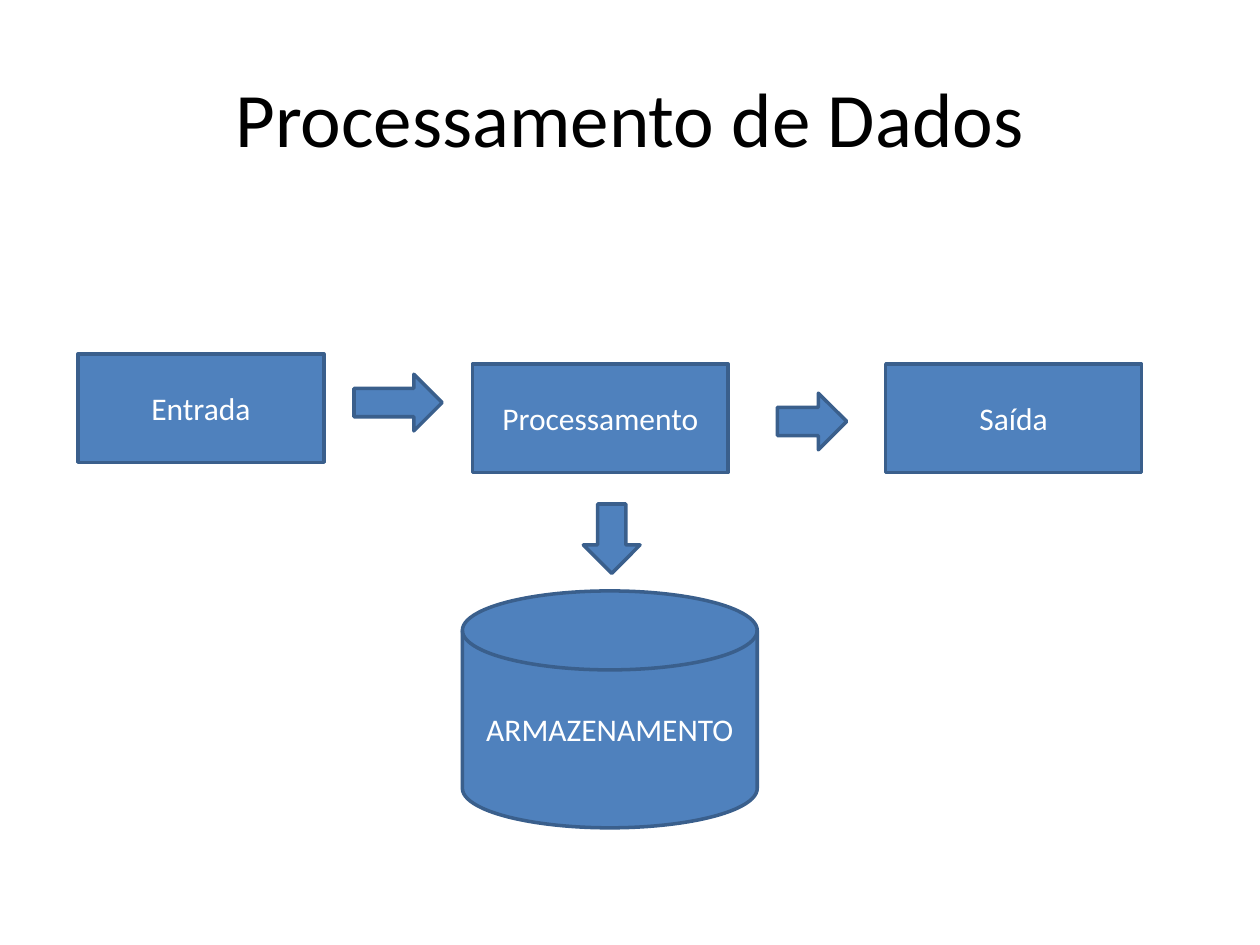
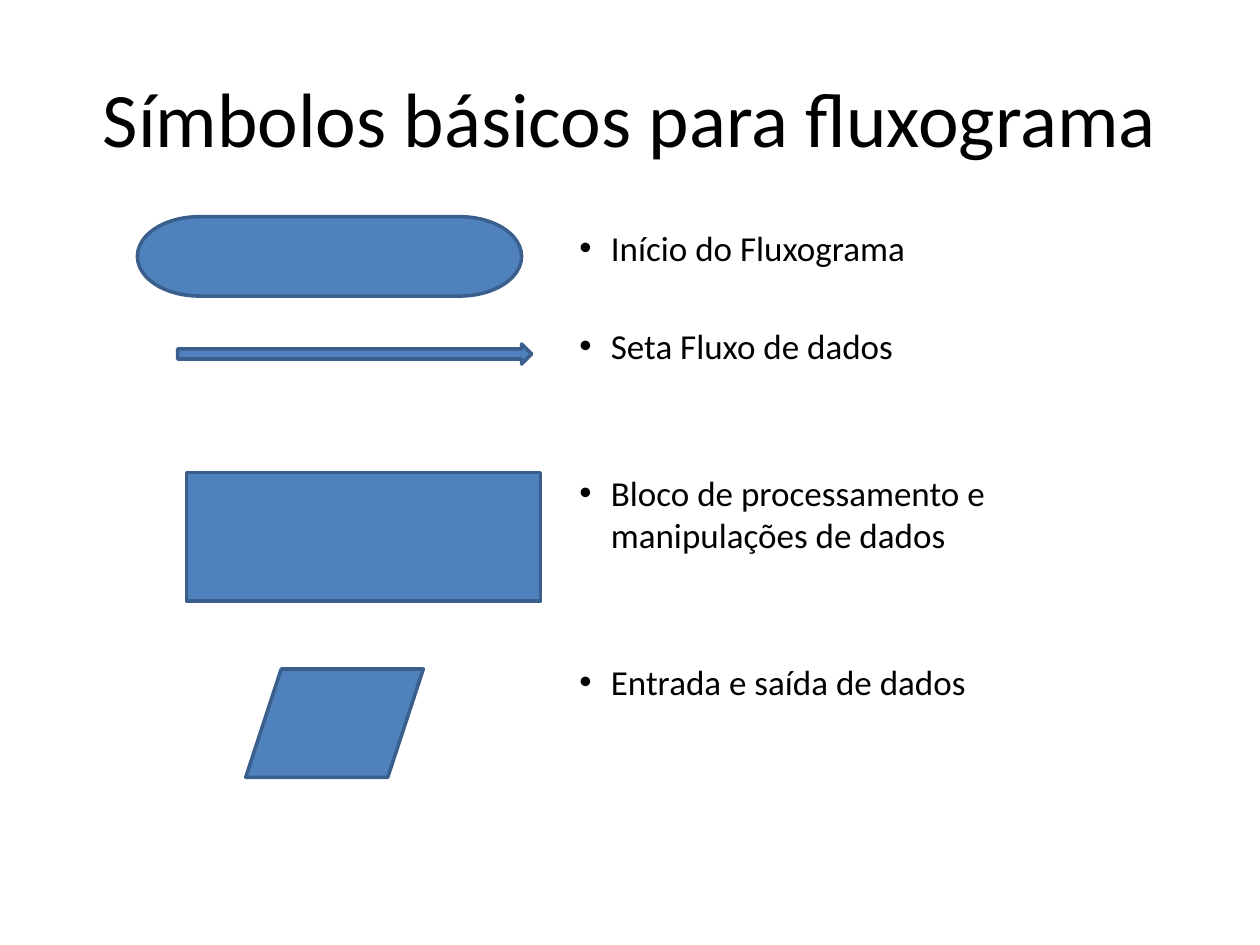
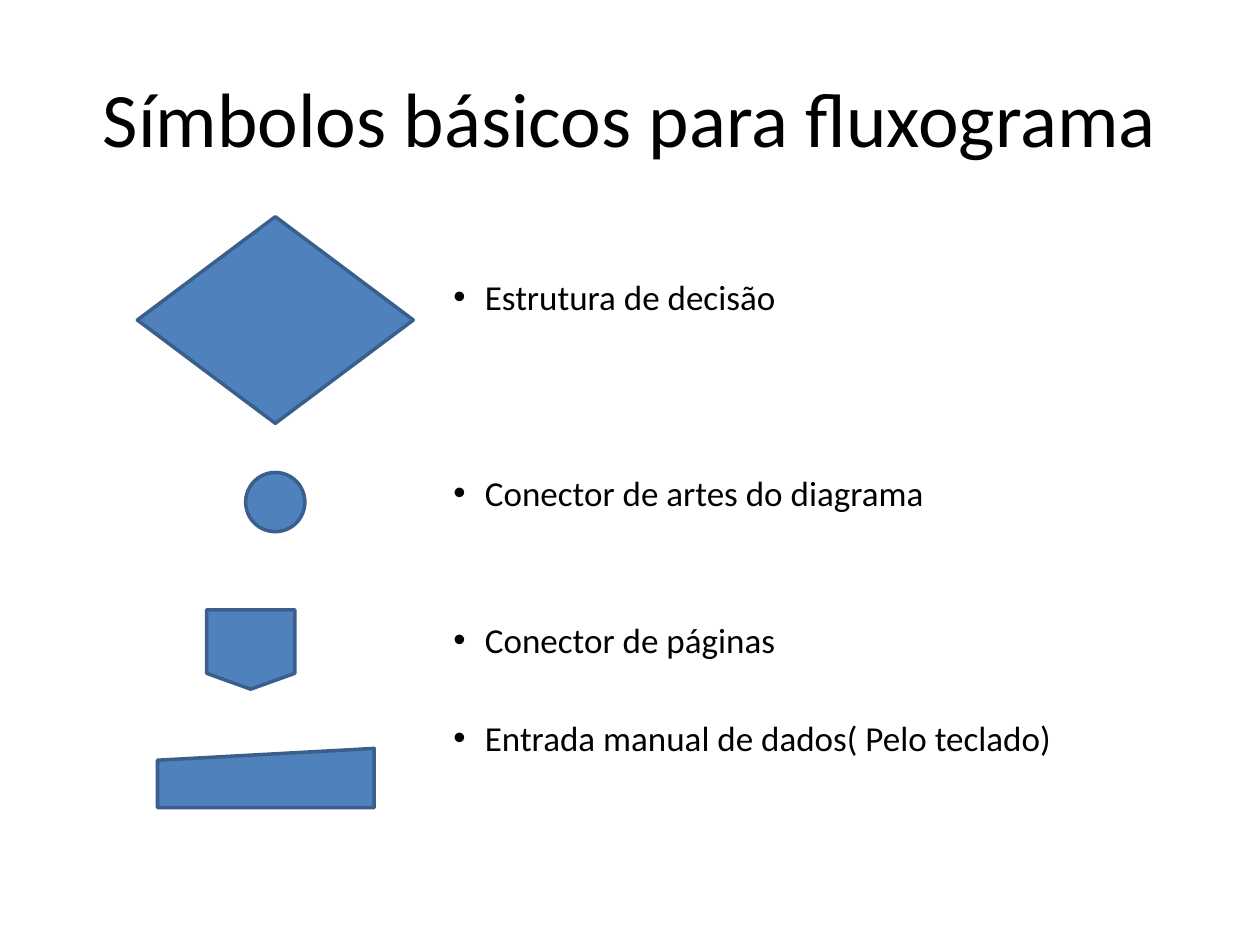
from pptx import Presentation
from pptx.dml.color import RGBColor
from pptx.enum.shapes import MSO_SHAPE as Preset
from pptx.enum.text import MSO_ANCHOR as Anchor, PP_ALIGN as Align
from pptx.oxml.ns import qn
from pptx.util import Inches, Pt
from lxml.etree import SubElement

BLACK = RGBColor(0x00, 0x00, 0x00)
WHITE = RGBColor(0xFF, 0xFF, 0xFF)
BLUE = RGBColor(0x4F, 0x81, 0xBD)
DARK_BLUE = RGBColor(0x3A, 0x5F, 0x8C)
FONT = "Calibri"
LIST_GAP = 4    # points above each list entry
LIST_STEP = 28  # points of one empty list row


def add_page(title):
    """Add a blank page with a centred title."""
    page = deck.slides.add_slide(deck.slide_layouts[6])
    box = page.shapes.add_textbox(Inches(0.5), Inches(0.3), Inches(9), Inches(1.25))
    box.text_frame.word_wrap = True
    box.text_frame.vertical_anchor = Anchor.MIDDLE
    para = box.text_frame.paragraphs[0]
    para.text = title
    para.alignment = Align.CENTER
    para.font.name, para.font.size, para.font.color.rgb = FONT, Pt(44), BLACK
    return page


def add_symbol(page, preset, left, top, width, height, label=""):
    """Add a blue outlined shape, with a white label if one is given."""
    shape = page.shapes.add_shape(
        preset, Inches(left), Inches(top), Inches(width), Inches(height))
    shape.shadow.inherit = False
    shape.fill.solid()
    shape.fill.fore_color.rgb = BLUE
    shape.line.color.rgb = DARK_BLUE
    shape.line.width = Pt(2)
    if label:
        shape.text_frame.vertical_anchor = Anchor.MIDDLE
        para = shape.text_frame.paragraphs[0]
        para.text = label
        para.alignment = Align.CENTER
        para.font.name, para.font.size, para.font.color.rgb = FONT, Pt(18), WHITE
    return shape


deck = Presentation()
deck.slide_width, deck.slide_height = Inches(10), Inches(7.5)

# Data processing diagram
page = add_page("Processamento de Dados")
add_symbol(page, Preset.RECTANGLE, 0.62, 2.81, 1.95, 0.86, "Entrada")
add_symbol(page, Preset.RIGHT_ARROW, 2.81, 2.97, 0.7, 0.45)
add_symbol(page, Preset.RECTANGLE, 3.75, 2.89, 2.03, 0.86, "Processamento")
add_symbol(page, Preset.RIGHT_ARROW, 6.17, 3.12, 0.55, 0.45)
add_symbol(page, Preset.RECTANGLE, 7.03, 2.89, 2.03, 0.86, "Saída")
storage_arrow = add_symbol(page, Preset.RIGHT_ARROW, 4.58, 4.05, 0.55, 0.45)
storage_arrow.rotation = 90
add_symbol(page, Preset.FLOWCHART_MAGNETIC_DISK, 3.67, 4.69, 2.34, 1.88,
           "ARMAZENAMENTO")

# Symbol pages: list indent, (empty rows above, meaning), symbols
symbol_pages = [
    (4.25,
     [(0, "Início do Fluxograma"),
      (1, "Seta Fluxo de dados"),
      (2, "Bloco de processamento e manipulações de dados"),
      (2, "Entrada e saída de dados")],
     [(Preset.FLOWCHART_TERMINATOR, 1.09, 1.72, 3.05, 0.63),
      (Preset.RIGHT_ARROW, 1.41, 2.73, 2.81, 0.16),
      (Preset.RECTANGLE, 1.48, 3.75, 2.81, 1.02),
      (Preset.FLOWCHART_DATA, 1.95, 5.31, 1.41, 0.86)]),
    (3.25,
     [(1, "Estrutura de decisão"),
      (3, "Conector de artes do diagrama"),
      (2, "Conector de páginas"),
      (1, "Entrada manual de dados( Pelo teclado)")],
     [(Preset.FLOWCHART_DECISION, 1.09, 1.72, 2.19, 1.64),
      (Preset.FLOWCHART_CONNECTOR, 1.95, 3.75, 0.47, 0.47),
      (Preset.FLOWCHART_OFFPAGE_CONNECTOR, 1.64, 4.84, 0.7, 0.63),
      (Preset.FLOWCHART_MANUAL_INPUT, 1.25, 5.94, 1.72, 0.47)]),
]

for indent, meanings, symbols in symbol_pages:
    page = add_page("Símbolos básicos para fluxograma")
    box = page.shapes.add_textbox(Inches(0.5), Inches(1.75), Inches(9), Inches(4.95))
    frame = box.text_frame
    frame.word_wrap = True
    for index, (empty_rows, meaning) in enumerate(meanings):
        space = Pt(LIST_STEP * empty_rows)
        if index == 0:
            para = frame.paragraphs[0]
            frame.margin_top = Inches(0.05) + space
            para.space_before = Pt(LIST_GAP)
        else:
            para = frame.add_paragraph()
            para.space_before = Pt(LIST_GAP) + space
        para.text = meaning
        para.font.name, para.font.size, para.font.color.rgb = FONT, Pt(20), BLACK
        properties = para._p.get_or_add_pPr()
        properties.set("marL", str(Inches(indent)))
        properties.set("indent", str(Inches(-0.25)))
        bullet_font = SubElement(properties, qn("a:buFont"), typeface="Arial")
        bullet = SubElement(properties, qn("a:buChar"), char="•")
        default_font = properties.find(qn("a:defRPr"))
        default_font.addprevious(bullet_font)
        default_font.addprevious(bullet)
    for preset, left, top, width, height in symbols:
        add_symbol(page, preset, left, top, width, height)

deck.save("out.pptx")
